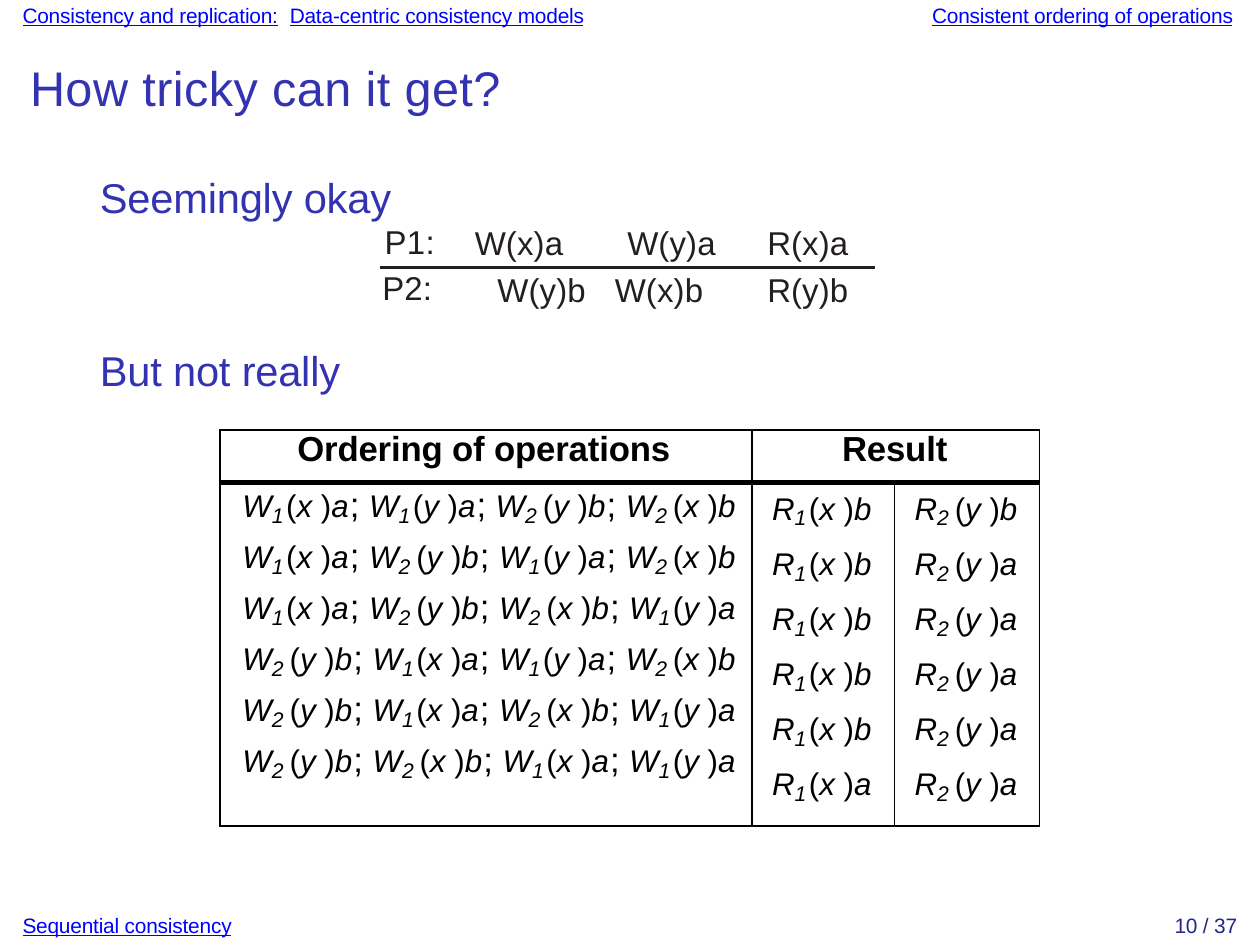
from lxml.etree import SubElement
from pptx import Presentation
from pptx.dml.color import RGBColor
from pptx.enum.shapes import MSO_CONNECTOR
from pptx.enum.text import MSO_ANCHOR, MSO_AUTO_SIZE, PP_ALIGN
from pptx.oxml.ns import qn
from pptx.util import Inches, Pt

BLUE, LINK, INK, BLACK = "3333B2", "0000FF", "231F20", "000000"
POINTS_PER_INCH = 72

ORDERINGS = [
    "W1xa W1ya W2yb W2xb",
    "W1xa W2yb W1ya W2xb",
    "W1xa W2yb W2xb W1ya",
    "W2yb W1xa W1ya W2xb",
    "W2yb W1xa W2xb W1ya",
    "W2yb W2xb W1xa W1ya",
]
FIRST_READS = ["R1xb"] * 5 + ["R1xa"]
SECOND_READS = ["R2yb"] + ["R2ya"] * 5

EVENTS = [
    ("P2:", 1.51, 1.06, 0.23),
    ("W(x)a", 1.88, 0.88, 0.38),
    ("W(y)a", 2.49, 0.88, 0.38),
    ("R(x)a", 3.05, 0.88, 0.35),
    ("W(y)b", 1.97, 1.07, 0.38),
    ("W(x)b", 2.44, 1.07, 0.38),
    ("R(y)b", 3.05, 1.07, 0.35),
]


def color(value):
    """Turn a hex string into a colour."""
    return RGBColor.from_string(value)


def write(para, text, size, fill=BLACK, bold=False, italic=False,
          underline=False, spacing=0, baseline=0):
    """Append a formatted span to a paragraph."""
    span = para.add_run()
    span.text = text
    font = span.font
    font.name, font.size = "Arial", Pt(size)
    font.bold, font.italic, font.underline = bold, italic, underline
    font.color.rgb = color(fill)
    properties = span._r.get_or_add_rPr()
    properties.set("spc", str(round(spacing * 100)))
    if baseline:
        properties.set("baseline", str(baseline * 1000))


def write_operation(para, operation, last):
    """Write one read or write such as W1xa with its subscript."""
    kind, process, variable, value = operation
    write(para, kind, 9, italic=True)
    subscript = {"1": "1", "2": "2 "}[process]
    write(para, subscript, 10.5, italic=True, baseline=-16,
          spacing=0.7 if process == "1" else 0)
    write(para, "(", 9)
    write(para, variable + " ", 9, italic=True)
    write(para, ")", 9)
    write(para, value, 9, italic=True, spacing=0 if last else 0.3)
    if not last:
        write(para, "; ", 10)


def layout(para, left=0.02, before=0):
    """Set the left indent and the space above a paragraph, without a bullet."""
    properties = para._p.get_or_add_pPr()
    properties.set("marL", str(Inches(left)))
    properties.set("indent", "0")
    SubElement(properties, qn("a:buNone"))
    para.alignment = PP_ALIGN.LEFT
    para.space_before = Pt(before)


class Page:
    """The slide and its elements."""

    def __init__(self):
        """Open a deck with one page."""
        self.deck = Presentation()
        self.deck.slide_width = Inches(363 / POINTS_PER_INCH)
        self.deck.slide_height = Inches(272.5 / POINTS_PER_INCH)
        layouts = self.deck.slide_layouts
        self.slide = self.deck.slides.add_slide(layouts.get_by_name("Two Content"))

    def frame(self, box, top):
        """Prepare the frame of a box and return its first paragraph."""
        frame = box.text_frame
        frame.word_wrap = True
        frame.auto_size = MSO_AUTO_SIZE.SHAPE_TO_FIT_TEXT
        frame.vertical_anchor = MSO_ANCHOR.TOP
        frame.margin_left = frame.margin_right = frame.margin_bottom = 0
        frame.margin_top = Inches(top)
        para = frame.paragraphs[0]
        layout(para)
        return para

    def text(self, left, top, width, height, inset=0.01):
        """Add a text box and return its paragraph."""
        box = self.slide.shapes.add_textbox(
            Inches(left), Inches(top), Inches(width), Inches(height))
        return self.frame(box, inset)

    def heading(self, index, text, size, left, top, width, height, inset, spacing):
        """Fill a template placeholder and return it."""
        box = self.slide.placeholders[index]
        box.left, box.top = Inches(left), Inches(top)
        box.width, box.height = Inches(width), Inches(height)
        write(self.frame(box, inset), text, size, BLUE, spacing=spacing)
        return box

    def line(self, left, right, top):
        """Draw a horizontal rule."""
        rule = self.slide.shapes.add_connector(
            MSO_CONNECTOR.STRAIGHT, Inches(left), Inches(top),
            Inches(right), Inches(top))
        rule.line.color.rgb = color(INK)
        rule.line.width = Pt(0.68)
        SubElement(rule._element.spPr, qn("a:effectLst"))

    def table(self, left, top, widths, heights):
        """Add a plain table with ruled cells."""
        table = self.slide.shapes.add_table(
            len(heights), len(widths), Inches(left), Inches(top),
            Inches(sum(widths)), Inches(sum(heights))).table
        table.first_row = table.horz_banding = False
        for column, width in zip(table.columns, widths):
            column.width = Inches(width)
        for row, height in zip(table.rows, heights):
            row.height = Inches(height)
        for number, row in enumerate(table.rows):
            for cell in row.cells:
                cell.margin_left = cell.margin_right = 0
                cell.margin_top = cell.margin_bottom = 0
                self.borders(cell, 1.5 if number else 0.5, 0.5 if number else 1.5)
                cell.fill.background()
        return table

    def borders(self, cell, top, bottom):
        """Rule the four sides of a cell."""
        properties = cell._tc.get_or_add_tcPr()
        for side, width in zip("LRTB", (0.5, 0.5, top, bottom)):
            edge = SubElement(properties, qn("a:ln" + side), w=str(Pt(width)))
            fill = SubElement(edge, qn("a:solidFill"))
            SubElement(fill, qn("a:srgbClr"), val=BLACK)

    def operations(self, cell, lines, left, inset, before):
        """Fill a cell with lines of operations."""
        cell.margin_top = Inches(inset)
        for number, line in enumerate(lines):
            frame = cell.text_frame
            para = frame.add_paragraph() if number else frame.paragraphs[0]
            layout(para, left, before if number else 0)
            names = line.split()
            for place, name in enumerate(names, 1):
                write_operation(para, name, place == len(names))


def main():
    """Build the slide."""
    page = Page()
    link = {"size": 6, "fill": LINK, "underline": True, "spacing": -0.05}

    para = page.text(0.07, 0, 2.31, 0.13)
    write(para, "Consistency and replication:", **link)
    write(para, " ", 6, BLUE, spacing=1.8)
    write(para, "Data-centric consistency models", **link)
    write(page.text(3.71, 0, 1.27, 0.13), "Consistent ordering of operations", **link)
    write(page.text(0.07, 3.64, 0.88, 0.13), "Sequential consistency", **link)
    write(page.text(4.68, 3.64, 0.28, 0.13), "10 / 37", 6, "262685", spacing=-0.05)

    page.heading(0, "How tricky can it get?", 14, 0.1, 0.21, 1.92, 0.27, 0.02, 0.1)
    okay = page.heading(1, "Seemingly okay", 12, 0.38, 0.68, 1.36, 0.38, 0.01, -0.05)
    page.heading(2, "But not really", 12, 0.38, 1.37, 1, 0.23, 0.01, -0.05)

    okay.text_frame.paragraphs[0].line_spacing = Pt(14.3)
    para = okay.text_frame.add_paragraph()
    layout(para, 0)
    para.alignment = PP_ALIGN.RIGHT
    para.line_spacing = Pt(11.3)
    write(para, "P1:", 9.5, INK, spacing=0.1)
    for text, left, top, width in EVENTS:
        write(page.text(left, top, width, 0.19), text, 9.5, INK, spacing=0.05)
    page.line(1.52, 3.5, 1.07)

    table = page.table(0.88, 1.72, (2.13, 0.57, 0.58), (0.21, 1.21))
    table.cell(0, 1).merge(table.cell(0, 2))
    for column, text, left in ((0, "Ordering of operations", 0.31), (1, "Result", 0.36)):
        para = table.cell(0, column).text_frame.paragraphs[0]
        layout(para, left)
        write(para, text, 10, bold=True, spacing=-0.03)
    page.operations(table.cell(1, 0), ORDERINGS, 0.09, 0.01, 2.3)
    page.operations(table.cell(1, 1), FIRST_READS, 0.08, 0.02, 3.5)
    page.operations(table.cell(1, 2), SECOND_READS, 0.08, 0.02, 3.5)

    page.deck.save("out.pptx")


if __name__ == "__main__":
    main()
